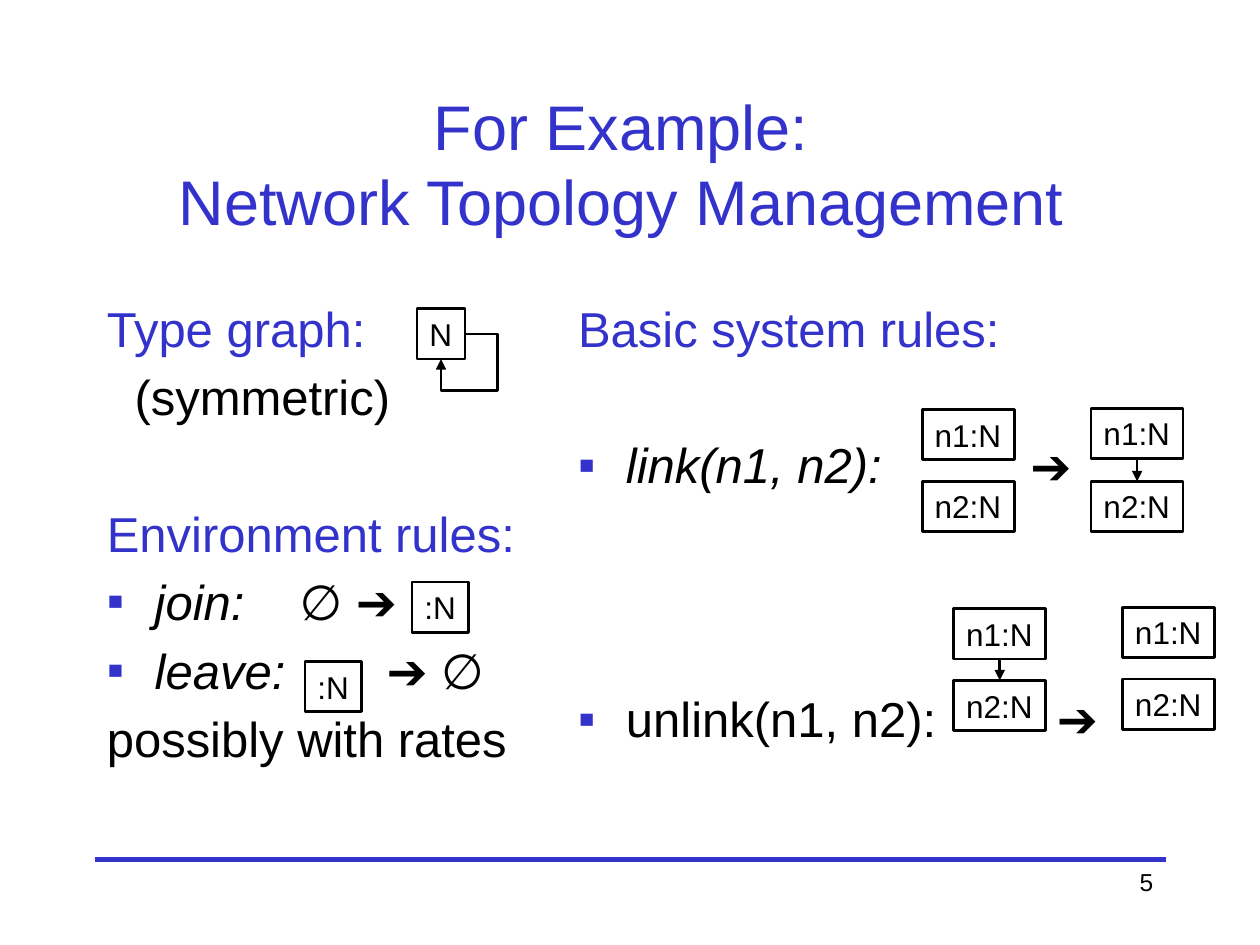
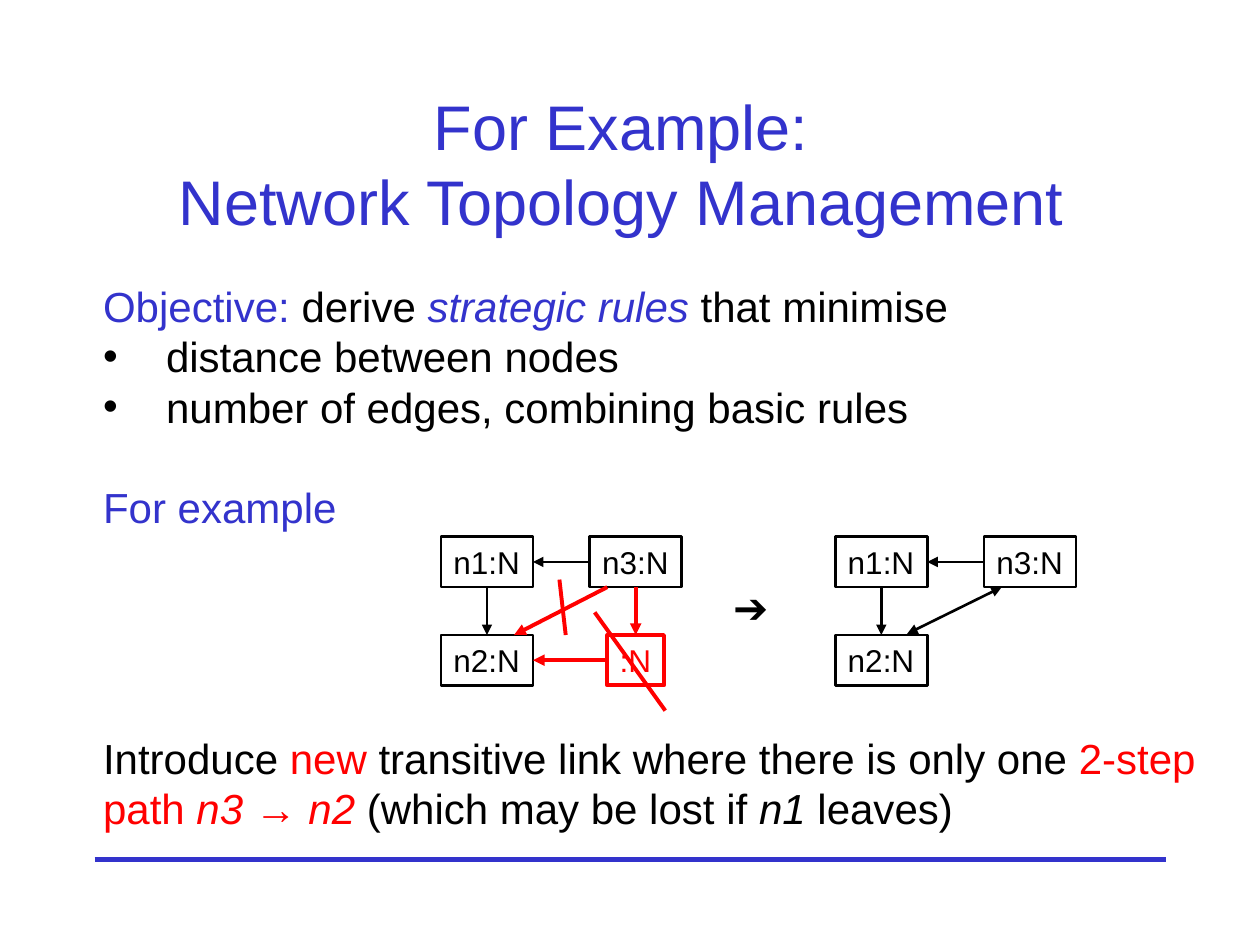
"""Build two slides on graph rules for network topology management."""
from lxml.etree import SubElement
from pptx import Presentation
from pptx.dml.color import RGBColor
from pptx.enum.shapes import MSO_CONNECTOR, MSO_SHAPE
from pptx.enum.text import MSO_ANCHOR, PP_ALIGN
from pptx.oxml.ns import qn
from pptx.util import Inches, Pt

COLORS = {"blue": "3333CC", "black": "000000", "red": "FF0000"}
FONT = "Arial"
LEADING = 1.195
TOP, LEFT, BOTTOM, RIGHT = 0, 1, 2, 3


def add_text(slide, box, size, paragraphs, align=PP_ALIGN.LEFT, anchor=MSO_ANCHOR.TOP):
    frame = slide.shapes.add_textbox(*map(Inches, box)).text_frame
    frame.word_wrap = True
    frame.vertical_anchor = anchor
    for index, (runs, before, indent, bullet, bullet_color) in enumerate(paragraphs):
        paragraph = frame.add_paragraph() if index else frame.paragraphs[0]
        paragraph.alignment = align
        paragraph.line_spacing = Pt(LEADING * size)
        paragraph.space_before = Pt(before)
        properties = paragraph._p.get_or_add_pPr()
        properties.set("marL", str(Inches(indent)))
        if bullet:
            properties.set("indent", str(-Inches(indent)))
            fill = SubElement(properties, qn("a:buClr"))
            SubElement(fill, qn("a:srgbClr"), val=COLORS[bullet_color])
            SubElement(properties, qn("a:buFont"), typeface=FONT)
            SubElement(properties, qn("a:buChar"), char=bullet)
        for words, color, italic in runs:
            if words == "\n":
                paragraph.add_line_break()
                continue
            run = paragraph.add_run()
            run.text = words
            run.font.name, run.font.size, run.font.italic = FONT, Pt(size), italic
            run.font.color.rgb = RGBColor.from_string(COLORS[color])


def style_line(shape, color, width, head=False, tail=False):
    shape.line.color.rgb = RGBColor.from_string(COLORS[color])
    shape.line.width = Pt(width)
    properties = shape._element.spPr
    for end, wanted in (("a:headEnd", head), ("a:tailEnd", tail)):
        if wanted:
            SubElement(properties.get_or_add_ln(), qn(end), type="triangle")
    if properties.find(qn("a:effectLst")) is None:
        SubElement(properties, qn("a:effectLst"))


deck = Presentation()
deck.slide_width, deck.slide_height = Inches(10), Inches(7.5)

slides = []
for _ in range(2):
    slide = deck.slides.add_slide(deck.slide_layouts[6])
    slides.append(slide)
    rule = slide.shapes.add_connector(
        MSO_CONNECTOR.STRAIGHT, Inches(0.75), Inches(6.82), Inches(9.25), Inches(6.82))
    style_line(rule, "blue", 3)
    title = [("For Example: ", "blue", False), ("\n", "blue", False),
             ("Network Topology Management ", "blue", False)]
    add_text(slide, (0.75, 0.67, 8.5, 1.25), 36, [(title, 0, 0, None, None)],
             PP_ALIGN.CENTER, MSO_ANCHOR.MIDDLE)
rules_slide, strategy_slide = slides

body_gap = 5.6
body_line = 28 * LEADING + body_gap
add_text(rules_slide, (0.75, 2.32, 4.17, 4.42), 28, [
    ([("Type graph:", "blue", False)], 0, 0, None, None),
    ([("(symmetric)", "black", False)], body_gap, 0.22, None, None),
    ([("Environment rules:", "blue", False)], body_gap + body_line, 0, None, None),
    ([("join:", "black", True)], body_gap, 0.38, "▪", "blue"),
    ([("leave:", "black", True)], body_gap, 0.38, "▪", "blue"),
    ([("possibly with rates", "black", False)], body_gap, 0, None, None),
])
add_text(rules_slide, (4.49, 2.32, 4.76, 3.79), 28, [
    ([("Basic system rules:", "blue", False)], 0, 0, None, None),
    ([("link(n1, n2):", "black", True)], body_gap + body_line, 0.38, "▪", "blue"),
    ([("unlink(n1, n2):", "black", False)], 3 * body_line - body_gap, 0.38, "▪", "blue"),
])
add_text(rules_slide, (7.17, 6.83, 2.08, 0.5), 14,
         [([("5", "black", False)], 0, 0, None, None)], PP_ALIGN.RIGHT)

line = 24 * LEADING
add_text(strategy_slide, (0.72, 2.18, 8.94, 4.54), 24, [
    ([("Objective: ", "blue", False), ("derive ", "black", False),
      ("strategic rules ", "blue", True), ("that minimise", "black", False)], 0, 0, None, None),
    ([("distance between nodes", "black", False)], 0, 0.5, "•", "black"),
    ([("number of edges, combining basic rules", "black", False)], 0, 0.5, "•", "black"),
    ([("For example", "blue", False)], line, 0, None, None),
    ([("Introduce ", "black", False), ("new", "red", False),
      (" transitive link where there is only one", "black", False),
      (" 2-step path ", "red", False), ("n3 → n2 ", "red", True),
      ("(which may be lost if ", "black", False), ("n1", "black", True),
      (" leaves)", "black", False)], 4 * line, 0, None, None),
])

for slide, symbols, left, top, width, size in (
    (rules_slide, "∅ ➔", 2.28, 4.49, 1.2, 28),
    (rules_slide, "➔ ∅", 2.97, 5.04, 1.2, 28),
    (rules_slide, "➔", 8.08, 3.41, 0.6, 28),
    (rules_slide, "➔", 8.29, 5.42, 0.6, 28),
    (strategy_slide, "➔", 5.72, 4.57, 0.6, 24),
):
    add_text(slide, (left, top, width, 0.55), size,
             [([(symbols, "black", False)], 0, 0, None, None)])

label_widths = {"N": 0.38, ":N": 0.45, "n1:N": 0.73, "n2:N": 0.73, "n3:N": 0.73}
nodes = {}
for slide, graph, label, left, top, color in (
    (rules_slide, "type", "N", 3.31, 2.45, "black"),
    (rules_slide, "leave", ":N", 2.42, 5.25, "black"),
    (rules_slide, "join", ":N", 3.27, 4.62, "black"),
    (rules_slide, "link before", "n1:N", 7.32, 3.25, "black"),
    (rules_slide, "link before", "n2:N", 7.32, 3.82, "black"),
    (rules_slide, "link after", "n1:N", 8.66, 3.24, "black"),
    (rules_slide, "link after", "n2:N", 8.66, 3.82, "black"),
    (rules_slide, "unlink after", "n1:N", 8.91, 4.82, "black"),
    (rules_slide, "unlink after", "n2:N", 8.91, 5.39, "black"),
    (rules_slide, "unlink before", "n1:N", 7.57, 4.83, "black"),
    (rules_slide, "unlink before", "n2:N", 7.57, 5.4, "black"),
    (strategy_slide, "before", "n1:N", 3.5, 4.26, "black"),
    (strategy_slide, "before", "n2:N", 3.5, 5.04, "black"),
    (strategy_slide, "before", "n3:N", 4.68, 4.26, "black"),
    (strategy_slide, "before", ":N", 4.82, 5.04, "red"),
    (strategy_slide, "after", "n1:N", 6.63, 4.26, "black"),
    (strategy_slide, "after", "n2:N", 6.63, 5.04, "black"),
    (strategy_slide, "after", "n3:N", 7.81, 4.26, "black"),
):
    node = slide.shapes.add_shape(MSO_SHAPE.RECTANGLE, Inches(left), Inches(top),
                                  Inches(label_widths[label]), Inches(0.4))
    node.shadow.inherit = False
    node.fill.background()
    style_line(node, color, 2.25 if color == "red" else 1.5)
    frame = node.text_frame
    frame.word_wrap = False
    frame.vertical_anchor = MSO_ANCHOR.TOP
    frame.paragraphs[0].alignment = PP_ALIGN.LEFT
    run = frame.paragraphs[0].add_run()
    run.text = label
    run.font.name, run.font.size = FONT, Pt(18)
    run.font.color.rgb = RGBColor.from_string(COLORS[color])
    nodes[graph, label] = node

loop_path = [(3.7, 2.65), (3.95, 2.65), (3.95, 3.1), (3.5, 3.1), (3.5, 2.85)]
loop_points = [(Inches(x), Inches(y)) for x, y in loop_path]
builder = rules_slide.shapes.build_freeform(*loop_points[0])
builder.add_line_segments(loop_points[1:], close=False)
type_loop = builder.convert_to_shape()
type_loop.fill.background()
style_line(type_loop, "black", 1.5, tail=True)

for slide, graph, source, source_side, target, target_side, color in (
    (rules_slide, "link after", "n1:N", BOTTOM, "n2:N", TOP, "black"),
    (rules_slide, "unlink before", "n1:N", BOTTOM, "n2:N", TOP, "black"),
    (strategy_slide, "before", "n1:N", BOTTOM, "n2:N", TOP, "black"),
    (strategy_slide, "before", "n3:N", LEFT, "n1:N", RIGHT, "black"),
    (strategy_slide, "before", "n3:N", BOTTOM, ":N", TOP, "red"),
    (strategy_slide, "before", ":N", LEFT, "n2:N", RIGHT, "red"),
    (strategy_slide, "after", "n1:N", BOTTOM, "n2:N", TOP, "black"),
    (strategy_slide, "after", "n3:N", LEFT, "n1:N", RIGHT, "black"),
):
    edge = slide.shapes.add_connector(MSO_CONNECTOR.STRAIGHT, 0, 0, 0, 0)
    edge.begin_connect(nodes[graph, source], source_side)
    edge.end_connect(nodes[graph, target], target_side)
    style_line(edge, color, 2.25 if color == "red" else 1.5, tail=True)

for start_x, start_y, end_x, end_y, color, width, head, tail in (
    (4.82, 4.66, 4.08, 5.04, "red", 2.25, False, True),
    (5.28, 5.64, 4.72, 4.86, "red", 2.25, False, False),
    (4.49, 5.04, 4.44, 4.6, "red", 2.25, False, False),
    (7.95, 4.66, 7.2, 5.03, "black", 1.5, True, True),
):
    stroke = strategy_slide.shapes.add_connector(
        MSO_CONNECTOR.STRAIGHT, Inches(start_x), Inches(start_y), Inches(end_x), Inches(end_y))
    style_line(stroke, color, width, head, tail)

deck.save("out.pptx")
